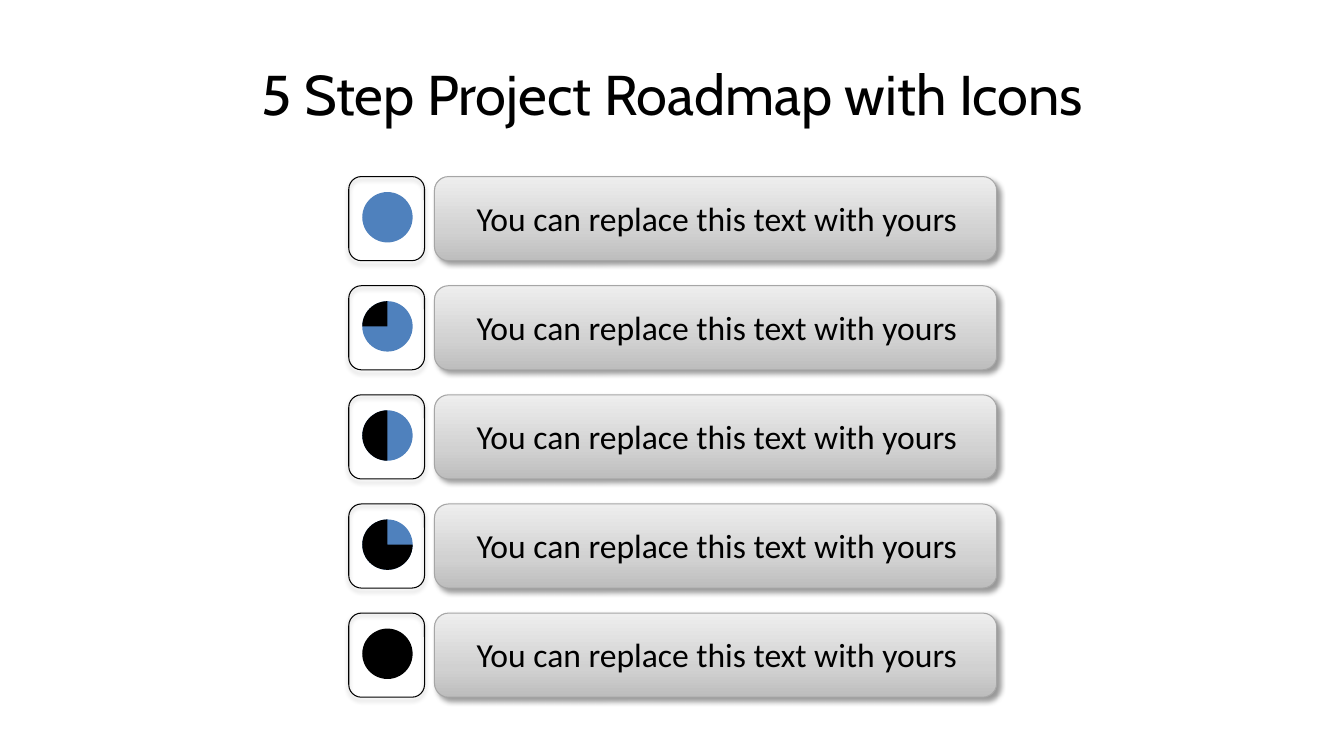
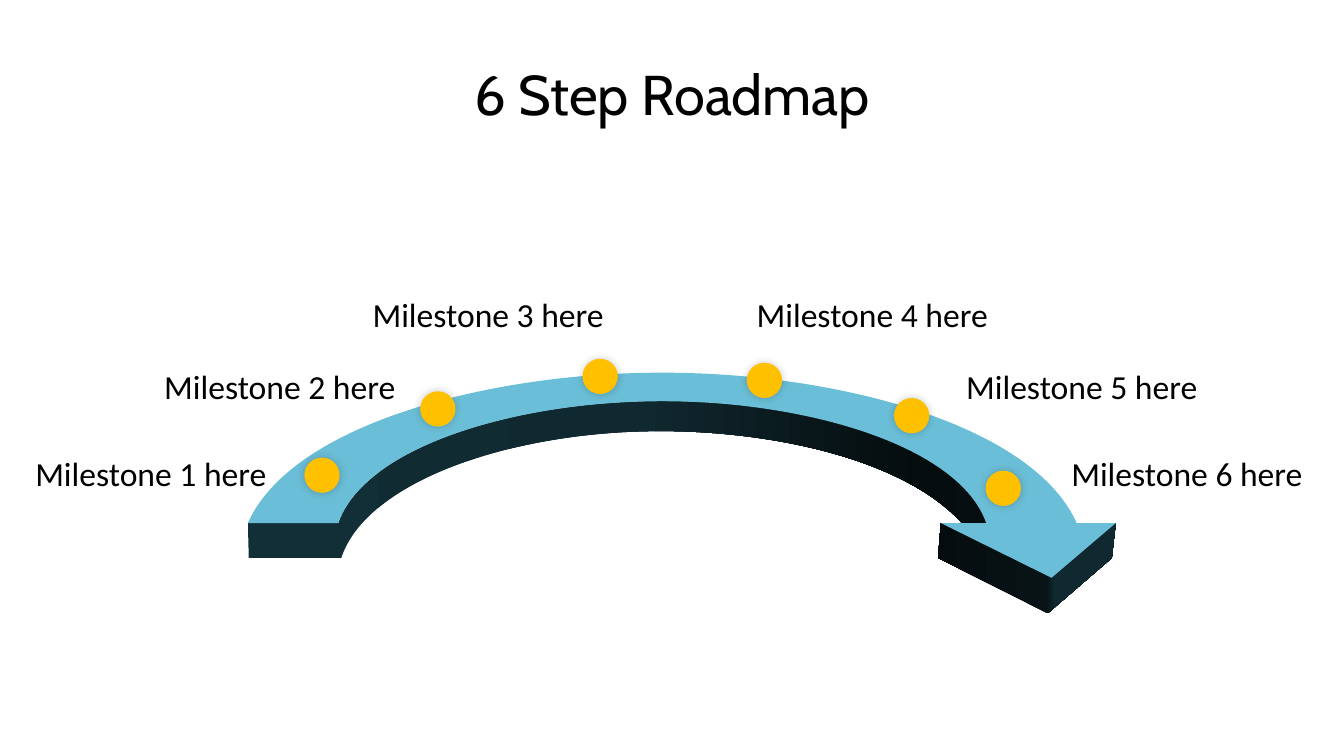
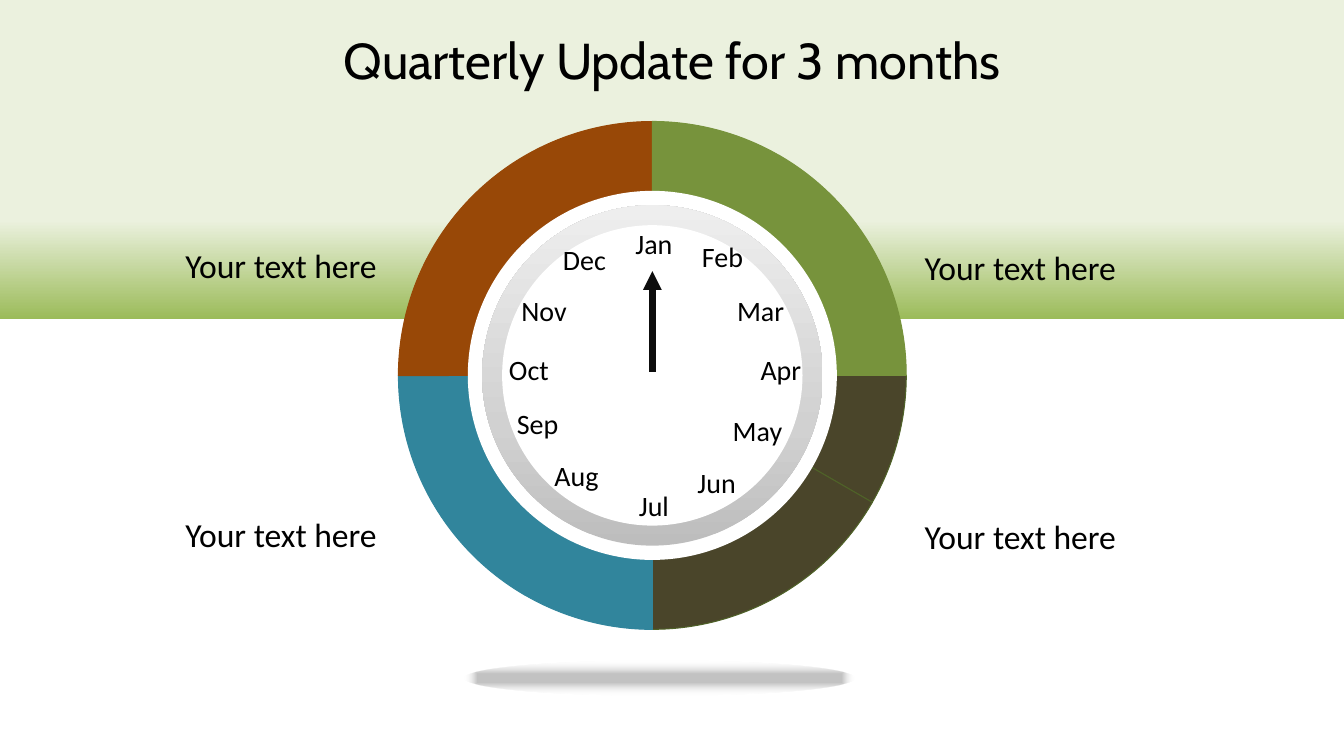
from math import cos, pi, sin, tan

from lxml import etree
from pptx import Presentation
from pptx.dml.color import RGBColor
from pptx.enum.shapes import MSO_CONNECTOR, MSO_SHAPE
from pptx.enum.text import MSO_ANCHOR, PP_ALIGN
from pptx.oxml.ns import qn
from pptx.util import Cm, Pt

RECT = MSO_SHAPE.RECTANGLE
ROUNDED = MSO_SHAPE.ROUNDED_RECTANGLE
OVAL = MSO_SHAPE.OVAL
PIE = MSO_SHAPE.PIE
BLOCK_ARC = MSO_SHAPE.BLOCK_ARC
STRAIGHT = MSO_CONNECTOR.STRAIGHT
LEFT, CENTER = PP_ALIGN.LEFT, PP_ALIGN.CENTER
TOP, MIDDLE = MSO_ANCHOR.TOP, MSO_ANCHOR.MIDDLE

BLACK = RGBColor(0x00, 0x00, 0x00)
WHITE = RGBColor(0xFF, 0xFF, 0xFF)
BLUE = RGBColor(0x4F, 0x81, 0xBD)
GRAY_EDGE = RGBColor(0xA6, 0xA6, 0xA6)
AMBER = RGBColor(0xFF, 0xC0, 0x00)
ARROW_TOP = RGBColor(0x6B, 0xBE, 0xD7)
ARROW_END = RGBColor(0x12, 0x2E, 0x36)
ARROW_DARK = RGBColor(0x08, 0x13, 0x16)
ARROW_RIGHT = RGBColor(0x10, 0x28, 0x2F)
ARROW_SHADE = RGBColor(0x05, 0x0C, 0x0E)
GREEN = RGBColor(0x77, 0x93, 0x3C)
DARK_GREEN = RGBColor(0x4F, 0x62, 0x28)
BROWN = RGBColor(0x4A, 0x45, 0x2A)
TEAL = RGBColor(0x31, 0x85, 0x9C)
RUST = RGBColor(0x98, 0x48, 0x07)
PALE_GREEN = RGBColor(0xEB, 0xF1, 0xDE)
LEAF = RGBColor(0x9B, 0xBB, 0x59)
HAND = RGBColor(0x0D, 0x0D, 0x0D)

# Gradient stops: position %, colour, opacity %
SILVER = [
    (0, RGBColor(0xBD, 0xBD, 0xBD), 100),
    (35, RGBColor(0xD1, 0xD1, 0xD1), 100),
    (100, RGBColor(0xEE, 0xEE, 0xEE), 100),
]
UPWARD, DOWNWARD, RIGHTWARD = 90, 270, 0

# Shadows: opacity %, blur pt, distance pt, direction in degrees
BAR_SHADOW = (40, 4, 3, 45)
ICON_SHADOW = (32, 3.5, 2.2, 90)
DOT_SHADOW = (20, 6, 0, 315)

TITLE_FONT, BODY_FONT = "Cabin", "Calibri"
ADJ_PER_DEGREE = 0.6  # angle adjustments count 60000ths of a degree, over 100000


def paint(shape, fill=None, line=None, shadow=None, angle=UPWARD):
    """Fill with a colour, a list of gradient stops or nothing; add edge and shadow."""
    properties = shape._element.spPr
    if fill is None:
        shape.fill.background()
    elif isinstance(fill, list):
        shape.fill.gradient()
        shape.fill.gradient_angle = angle
        stops = properties.find(".//" + qn("a:gsLst"))
        stops.clear()
        for position, color, opacity in fill:
            stop = etree.SubElement(stops, qn("a:gs"), pos=str(position * 1000))
            tint = etree.SubElement(stop, qn("a:srgbClr"), val=str(color))
            etree.SubElement(tint, qn("a:alpha"), val=str(opacity * 1000))
    else:
        shape.fill.solid()
        shape.fill.fore_color.rgb = fill
    if line is None:
        shape.line.fill.background()
    else:
        shape.line.color.rgb = line
        shape.line.width = Pt(0.75)
    shape.shadow.inherit = False
    if shadow:
        opacity, blur, distance, direction = shadow
        outer = etree.SubElement(
            properties.find(qn("a:effectLst")), qn("a:outerShdw"),
            blurRad=str(Pt(blur)), dist=str(Pt(distance)),
            dir=str(direction * 60000), rotWithShape="0")
        tint = etree.SubElement(outer, qn("a:srgbClr"), val=str(BLACK))
        etree.SubElement(tint, qn("a:alpha"), val=str(opacity * 1000))
    return shape


def write(box, text, size=24, align=LEFT, font=BODY_FONT, wrap=True, anchor=TOP):
    frame = box.text_frame
    frame.word_wrap = wrap
    frame.vertical_anchor = anchor
    paragraph = frame.paragraphs[0]
    paragraph.text = text
    paragraph.alignment = align
    paragraph.font.size = Pt(size)
    paragraph.font.name = font
    paragraph.font.color.rgb = BLACK


prs = Presentation()
prs.slide_width, prs.slide_height = Cm(33.87), Cm(19.05)

slides = []
for title, top, height, size in [
    ("5 Step Project Roadmap with Icons", 0.76, 3.18, 40),
    ("6 Step Roadmap", 0.76, 3.18, 40),
    ("Quarterly Update for 3 months", 0.76, 1.47, 36),
]:
    slide = prs.slides.add_slide(prs.slide_layouts[6])
    if title.startswith("Quarterly"):
        band = slide.shapes.add_shape(RECT, 0, 0, prs.slide_width, Cm(8.05))
        paint(band, [(0, PALE_GREEN, 100), (69, PALE_GREEN, 100), (100, LEAF, 100)],
              angle=DOWNWARD)
    heading = slide.shapes.add_textbox(Cm(1.7), Cm(top), Cm(30.48), Cm(height))
    write(heading, title, size, CENTER, TITLE_FONT, anchor=MIDDLE)
    slides.append(slide)
steps, roadmap, quarters = [slide.shapes for slide in slides]

# Five steps: the dark part of each disc runs clockwise from an angle to the top
for row, dark_from in enumerate([None, 180, 90, 0, None]):
    top = 4.45 + row * 2.75
    bar = steps.add_shape(ROUNDED, Cm(10.95), Cm(top), Cm(14.17), Cm(2.12))
    paint(bar, SILVER, GRAY_EDGE, BAR_SHADOW)
    caption = steps.add_textbox(Cm(11.76), Cm(top + 0.41), Cm(12.73), Cm(1.28))
    write(caption, "You can replace this text with yours", wrap=False)
    icon = steps.add_shape(ROUNDED, Cm(8.79), Cm(top), Cm(1.91), Cm(2.12))
    paint(icon, None, BLACK, ICON_SHADOW)
    disc_box = Cm(9.13), Cm(top + 0.39), Cm(1.27), Cm(1.27)
    paint(steps.add_shape(OVAL, *disc_box), BLACK if row == 4 else BLUE)
    if dark_from is not None:
        wedge = paint(steps.add_shape(PIE, *disc_box), BLACK)
        wedge.adjustments[0] = dark_from * ADJ_PER_DEGREE
        wedge.adjustments[1] = 270 * ADJ_PER_DEGREE

# Six steps: a thick curved arrow seen in perspective, its body below its top face.
# Each arc is a chain of Bezier curves: knot, control, control, knot, ...
CURVES = 3
PERSPECTIVE = 0.02
arcs = []
for radius, end_angle, base, across, up in [
    (9.58, 0, 13.18, 1.09, 0.47),
    (7.49, 0, 13.18, 1.09, 0.47),
    (7.49, 0.25, 14.06, 1.08, 0.49),
]:
    turn = (pi - end_angle) / CURVES
    reach = 4 / 3 * tan(turn / 4) * radius
    arc = []
    for knot in range(CURVES + 1):
        angle = pi - knot * turn
        x, y = radius * cos(angle), radius * sin(angle)
        dx, dy = reach * sin(angle), -reach * cos(angle)
        depth = 1 + PERSPECTIVE * y
        knot_x, knot_y = 16.69 + across * x / depth, base - up * y / depth
        shift_x = across * (dx * depth - x * PERSPECTIVE * dy) / depth ** 2
        shift_y = -up * dy / depth ** 2
        if knot > 0:
            arc.append((knot_x - shift_x, knot_y - shift_y))
        arc.append((knot_x, knot_y))
        if knot < CURVES:
            arc.append((knot_x + shift_x, knot_y + shift_y))
    arcs.append(arc)
outer_arc, inner_arc, lower_arc = arcs

barb_left, tip, barb_right = (23.71, 13.18), (26.5, 14.56), (28.12, 13.18)
head_edge = [barb_left, (23.64, 14.06), (26.41, 15.45), (28.02, 14.06), barb_right]
tail_edge = [outer_arc[0], (6.27, 14.06)]
body_shades = [(0, ARROW_END, 100), (45, ARROW_RIGHT, 100), (78, ARROW_SHADE, 100),
               (92, ARROW_DARK, 100), (93, ARROW_RIGHT, 100), (100, ARROW_RIGHT, 100)]

for first_arc, head, tail, fill in [
    (lower_arc, head_edge, tail_edge, body_shades),
    (outer_arc, [barb_right, tip, barb_left], [], ARROW_TOP),
]:
    corners = [(Cm(x), Cm(y)) for x, y in first_arc + head + inner_arc[::-1] + tail]
    outline = roadmap.build_freeform(*corners[0])
    outline.add_line_segments(corners[1:], close=True)
    face = paint(outline.convert_to_shape(), fill, angle=RIGHTWARD)
    segments = list(face._element.iter(qn("a:lnTo")))
    for arc_start in (0, 3 * CURVES + len(head) + 1):
        for first in range(arc_start, arc_start + 3 * CURVES, 3):
            curve = etree.Element(qn("a:cubicBezTo"))
            segments[first].addprevious(curve)
            for segment in segments[first:first + 3]:
                curve.append(segment[0])
                segment.getparent().remove(segment)

milestones = [  # dot left, dot top, label left, label top
    (7.67, 11.53, 0.64, 11.3),
    (10.59, 9.86, 3.89, 9.09),
    (14.68, 9.04, 9.14, 7.29),
    (18.82, 9.14, 18.82, 7.29),
    (22.53, 10.03, 24.1, 9.09),
    (24.84, 11.86, 26.75, 11.3),
]
for number, (dot_left, dot_top, left, top) in enumerate(milestones, 1):
    dot = roadmap.add_shape(OVAL, Cm(dot_left), Cm(dot_top), Cm(0.89), Cm(0.89))
    paint(dot, AMBER, shadow=DOT_SHADOW)
    label = roadmap.add_textbox(Cm(left), Cm(top), Cm(6.48), Cm(1.32))
    write(label, f"Milestone {number} here", wrap=False)

# Quarterly dial: every sector starts at 330 degrees and is then rotated
DIAL_X, DIAL_Y = 16.44, 9.46
for rotation, span, color, edge in [
    (30, 30, BROWN, DARK_GREEN),
    (60, 60, BROWN, DARK_GREEN),
    (120, 30, TEAL, TEAL),
    (150, 30, TEAL, TEAL),
    (180, 30, TEAL, TEAL),
    (210, 30, RUST, RUST),
    (240, 60, RUST, RUST),
    (0, 30, GREEN, GREEN),
    (300, 30, GREEN, GREEN),
    (330, 30, GREEN, GREEN),
]:
    sector = quarters.add_shape(
        BLOCK_ARC, Cm(DIAL_X - 6.4), Cm(DIAL_Y - 6.4), Cm(12.8), Cm(12.8))
    sector.adjustments[0] = 330 * ADJ_PER_DEGREE
    sector.adjustments[1] = (330 + span) % 360 * ADJ_PER_DEGREE
    sector.adjustments[2] = 0.25
    sector.rotation = rotation
    paint(sector, color, edge)

for diameter, fill in [(9.3, WHITE), (8.58, SILVER), (7.57, WHITE)]:
    disc = quarters.add_shape(OVAL, Cm(DIAL_X - diameter / 2), Cm(DIAL_Y - diameter / 2),
                              Cm(diameter), Cm(diameter))
    paint(disc, fill)

hand = quarters.add_connector(STRAIGHT, Cm(DIAL_X), Cm(9.37), Cm(DIAL_X), Cm(6.83))
hand.line.color.rgb = HAND
hand.line.width = Pt(4.5)
etree.SubElement(hand.line._get_or_add_ln(), qn("a:tailEnd"), type="triangle")
etree.SubElement(hand._element.spPr, qn("a:effectLst"))

months = [  # name, centre
    ("Jan", 16.48, 6.15), ("Feb", 18.21, 6.48), ("Mar", 19.17, 7.82),
    ("Apr", 19.68, 9.32), ("May", 19.09, 10.85), ("Jun", 18.06, 12.17),
    ("Jul", 16.48, 12.75), ("Aug", 14.53, 11.99), ("Sep", 13.55, 10.67),
    ("Oct", 13.33, 9.32), ("Nov", 13.71, 7.82), ("Dec", 14.73, 6.55),
]
for month, x, y in months:
    label = quarters.add_textbox(Cm(x - 1.05), Cm(y - 0.56), Cm(2.1), Cm(1.12))
    write(label, month, 20, CENTER)

ground = quarters.add_shape(OVAL, Cm(11.71), Cm(16.64), Cm(9.83), Cm(0.89))
paint(ground, [(24, BLACK, 24), (100, WHITE, 0)])
linear = ground._element.spPr.find(".//" + qn("a:lin"))
radial = etree.Element(qn("a:path"))
radial.set("path", "shape")
etree.SubElement(radial, qn("a:fillToRect"), l="50000", t="50000", r="50000", b="50000")
linear.getparent().replace(linear, radial)

for left, first_top in [(23.05, 6.1), (4.42, 6.05)]:
    for row in range(2):
        note = quarters.add_textbox(Cm(left), Cm(first_top + row * 6.78), Cm(6.78), Cm(1.27))
        write(note, "Your text here")

prs.save("out.pptx")
